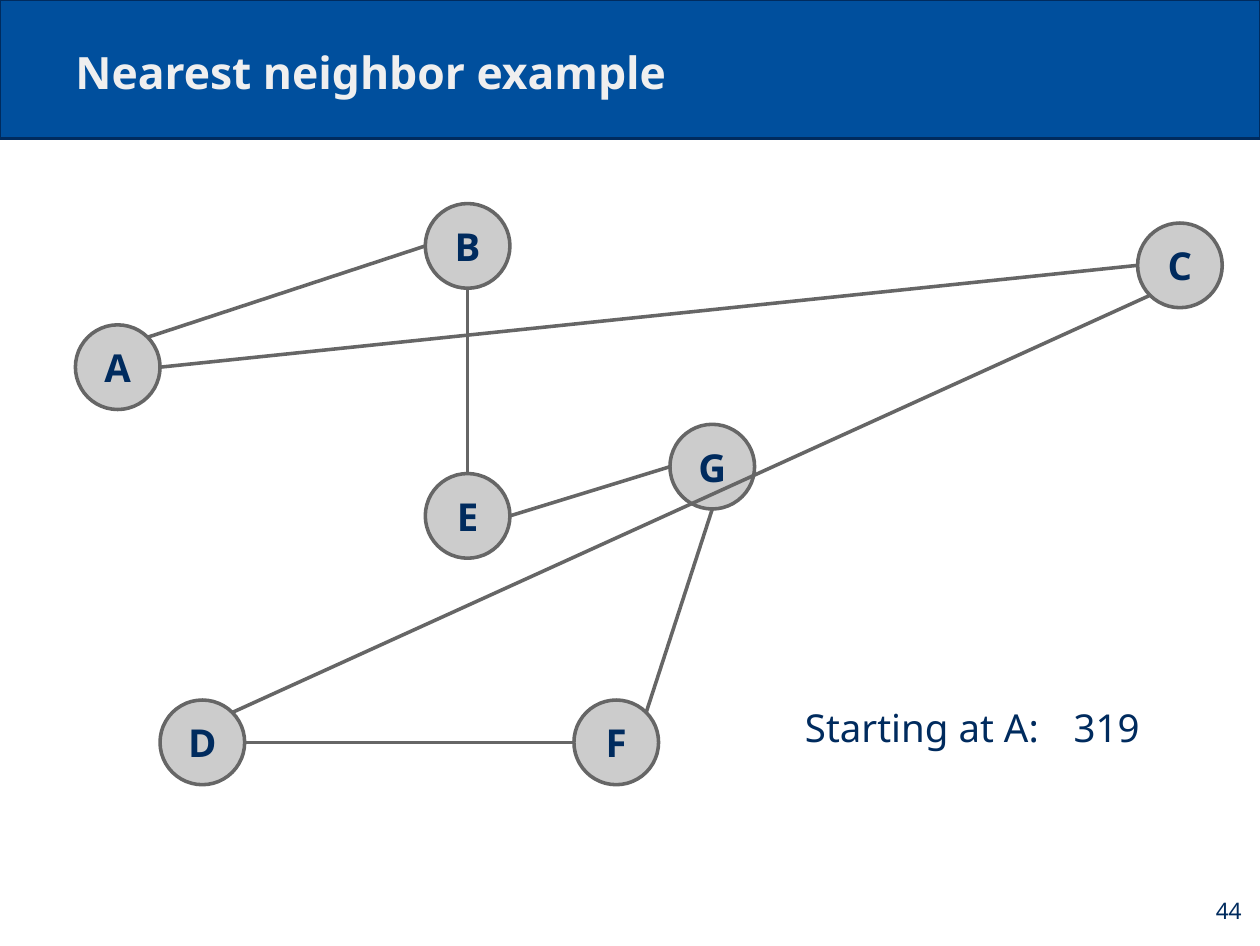
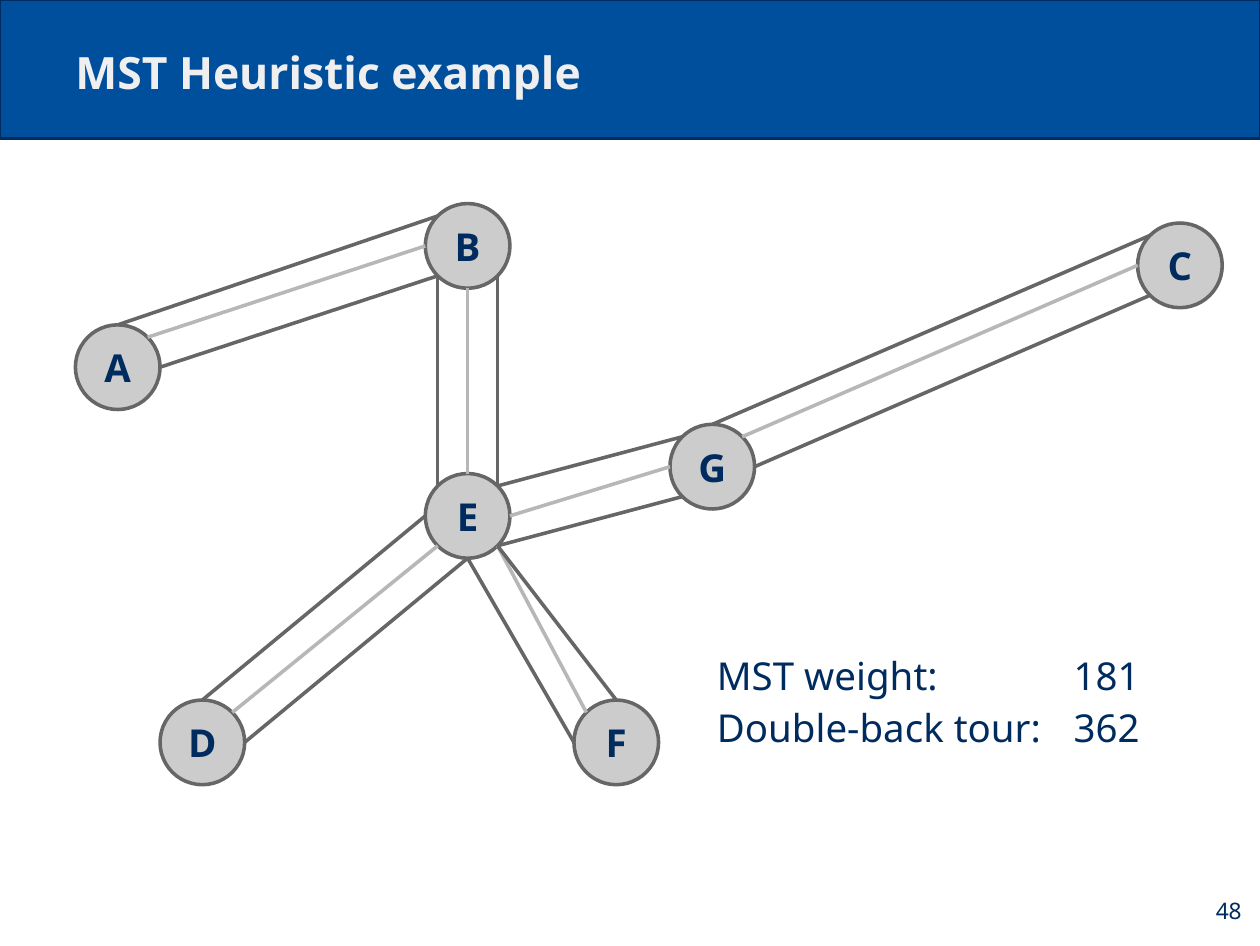
from math import cos, radians, sin

from lxml import etree
from pptx import Presentation
from pptx.dml.color import RGBColor
from pptx.enum.shapes import MSO_CONNECTOR, MSO_SHAPE
from pptx.enum.text import MSO_ANCHOR, PP_ALIGN
from pptx.oxml.ns import qn
from pptx.util import Inches, Pt

LEFT, CENTER, RIGHT = PP_ALIGN.LEFT, PP_ALIGN.CENTER, PP_ALIGN.RIGHT
MIDDLE, BOTTOM = MSO_ANCHOR.MIDDLE, MSO_ANCHOR.BOTTOM
RECTANGLE, OVAL = MSO_SHAPE.RECTANGLE, MSO_SHAPE.OVAL
STRAIGHT = MSO_CONNECTOR.STRAIGHT

BLUE = RGBColor(0x00, 0x4F, 0x9D)
NAVY = RGBColor(0x00, 0x2B, 0x5E)
OFF_WHITE = RGBColor(0xEF, 0xEF, 0xEF)
NODE_GRAY = RGBColor(0xCC, 0xCC, 0xCC)
DARK_GRAY = RGBColor(0x66, 0x66, 0x66)
LIGHT_GRAY = RGBColor(0xB7, 0xB7, 0xB7)

FONT = "Noto Sans"
BODY_SIZE = 24.2
SLIDE_WIDTH, SLIDE_HEIGHT = 11.02, 8.27
INSET = 0.11
RADIUS = 0.37
LINE_WIDTH = 2.25
VALUE_LEFT = 9.28
LAST_ROW_TOP, ROW_PITCH, ROW_HEIGHT = 6.04, 0.45, 0.63

CENTERS = {
    "A": (1.03, 3.21),
    "B": (4.09, 2.15),
    "C": (10.32, 2.32),
    "G": (6.23, 4.08),
    "E": (4.09, 4.51),
    "F": (5.39, 6.49),
    "D": (1.77, 6.49),
}
ANGLES = {name: 45 * step for step, name in
          enumerate(("E", "SE", "S", "SW", "W", "NW", "N", "NE"))}

NEAREST_NEIGHBOR_TOUR = [
    "A.NE B.W", "B.S E.N", "E.E G.W", "G.S F.NE",
    "F.W D.E", "D.NE C.SW", "C.W A.E",
]
SPANNING_TREE = [
    "A.NE B.W", "B.S E.N", "E.SW D.NE", "E.SE F.NW", "E.E G.W", "G.NE C.W",
]
DOUBLE_BACK_TOUR = [
    "A.N B.NW", "B.SE E.NE", "E.NE G.NW", "G.N C.NW", "C.SW G.E", "G.SW E.SE",
    "E.SE F.N", "F.W E.S", "E.S D.E", "D.N E.W", "E.NW B.SW", "B.SW A.E",
]


def write_text(shape, text, size=BODY_SIZE, color=NAVY, bold=False,
               align=LEFT, anchor=MIDDLE):
    frame = shape.text_frame
    frame.word_wrap = True
    frame.vertical_anchor = anchor
    frame.margin_left = frame.margin_right = Inches(INSET)
    frame.margin_top = frame.margin_bottom = Inches(INSET)
    paragraph = frame.paragraphs[0]
    paragraph.alignment = align
    run = paragraph.add_run()
    run.text = text
    run.font.name = FONT
    run.font.size = Pt(size)
    run.font.bold = bold
    run.font.color.rgb = color


def add_text(slide, text, left, top, width, height, **text_format):
    box = slide.shapes.add_textbox(*map(Inches, (left, top, width, height)))
    write_text(box, text, **text_format)


def add_filled_shape(slide, kind, left, top, width, height,
                     fill, line, line_width):
    shape = slide.shapes.add_shape(
        kind, *map(Inches, (left, top, width, height)))
    shape.shadow.inherit = False
    shape.fill.solid()
    shape.fill.fore_color.rgb = fill
    shape.line.color.rgb = line
    shape.line.width = Pt(line_width)
    return shape


def add_slide(presentation, title, number):
    slide = presentation.slides.add_slide(presentation.slide_layouts[6])
    add_filled_shape(slide, RECTANGLE, 0, 0, SLIDE_WIDTH, 1.21,
                     BLUE, NAVY, 1.5)
    add_text(slide, title, 0.55, 0.24, 9.92, 0.73,
             size=28, color=OFF_WHITE, bold=True, anchor=BOTTOM)
    add_text(slide, str(number), 10.31, 7.64, 0.66, 0.63,
             size=14.3, align=RIGHT)
    return slide


def add_nodes(slide):
    for name, (x, y) in CENTERS.items():
        node = add_filled_shape(slide, OVAL, x - RADIUS, y - RADIUS,
                                2 * RADIUS, 2 * RADIUS,
                                NODE_GRAY, DARK_GRAY, LINE_WIDTH)
        write_text(node, name, bold=True, align=CENTER)


def rim_point(site):
    name, direction = site.split(".")
    x, y = CENTERS[name]
    angle = radians(ANGLES[direction])
    return Inches(x + RADIUS * cos(angle)), Inches(y + RADIUS * sin(angle))


def add_edges(slide, edges, color):
    for edge in edges:
        start, end = map(rim_point, edge.split())
        connector = slide.shapes.add_connector(STRAIGHT, *start, *end)
        connector.line.color.rgb = color
        connector.line.width = Pt(LINE_WIDTH)
        etree.SubElement(connector._element.spPr, qn("a:effectLst"))


def add_results(slide, left, rows):
    first_top = LAST_ROW_TOP - ROW_PITCH * (len(rows) - 1)
    for index, (label, value) in enumerate(rows):
        top = first_top + ROW_PITCH * index
        add_text(slide, label, left, top, VALUE_LEFT - left, ROW_HEIGHT)
        add_text(slide, value, VALUE_LEFT, top, 1.03, ROW_HEIGHT)


def main():
    presentation = Presentation()
    presentation.slide_width = Inches(SLIDE_WIDTH)
    presentation.slide_height = Inches(SLIDE_HEIGHT)

    slide = add_slide(presentation, "Nearest neighbor example", 44)
    add_nodes(slide)
    add_results(slide, 6.93, [("Starting at A:", "319")])
    add_edges(slide, NEAREST_NEIGHBOR_TOUR, DARK_GRAY)

    slide = add_slide(presentation, "MST Heuristic example", 48)
    add_nodes(slide)
    add_results(slide, 6.16, [("MST weight:", "181"),
                              ("Double-back tour:", "362")])
    add_edges(slide, SPANNING_TREE, LIGHT_GRAY)
    add_edges(slide, DOUBLE_BACK_TOUR, DARK_GRAY)

    presentation.save("out.pptx")


if __name__ == "__main__":
    main()
